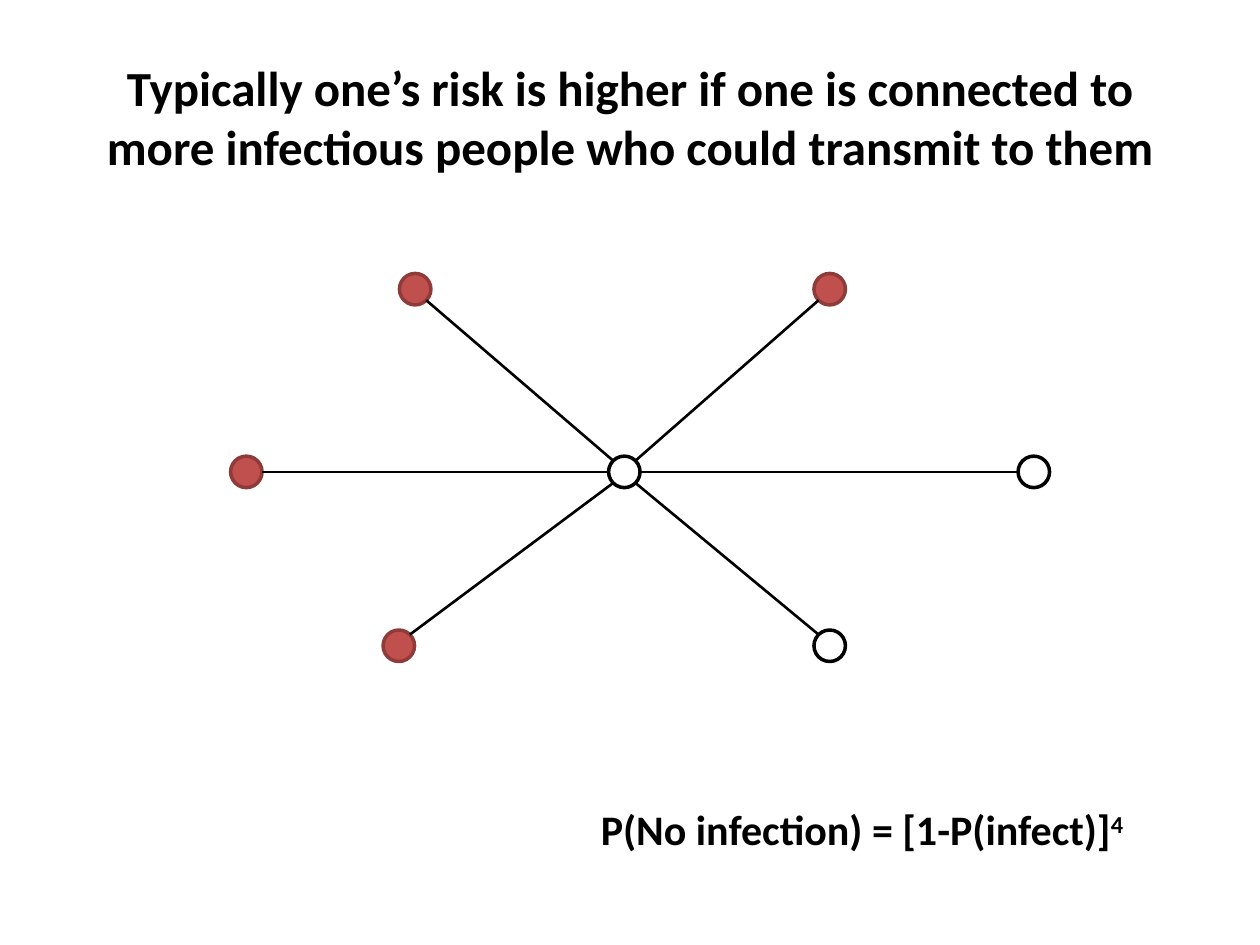
import math

from pptx import Presentation
from pptx.dml.color import RGBColor
from pptx.enum import shapes, text
from pptx.oxml import xmlchemy
from pptx.util import Inches, Pt
from lxml import etree

BLACK = RGBColor(0x00, 0x00, 0x00)
WHITE = RGBColor(0xFF, 0xFF, 0xFF)
RED = RGBColor(0xC0, 0x50, 0x4D)
DARK_RED = RGBColor(0x8E, 0x3B, 0x39)
DRAWING_NS = "http://schemas.openxmlformats.org/drawingml/2006/main"

TITLE = ("Typically one’s risk is higher if one is connected to "
         "more infectious people who could transmit to them")
FORMULA, EXPONENT = "P(No infection) = [1-P(infect)]", "4"

# Status of a person: fill and outline
STATUS = {"infectious": (RED, DARK_RED), "susceptible": (WHITE, BLACK)}

# Left and top of each person's circle, in inches
DIAMETER = 0.25
EGO = (4.83, 3.62)
CONTACTS = [
    (3.17, 2.17, "infectious"),
    (6.46, 2.17, "infectious"),
    (3.04, 5.00, "infectious"),
    (8.08, 3.62, "susceptible"),
    (1.83, 3.62, "infectious"),
    (6.46, 5.00, "susceptible"),
]


def add_person(slide, left, top, status):
    person = slide.shapes.add_shape(
        shapes.MSO_SHAPE.OVAL, *map(Inches, (left, top, DIAMETER, DIAMETER)))
    fill, outline = STATUS[status]
    person.shadow.inherit = False
    person.fill.solid()
    person.fill.fore_color.rgb = fill
    person.line.color.rgb = outline
    person.line.width = Pt(2)


def sign(value):
    return (value > 0) - (value < 0)


def add_tie(slide, left, top):
    """Join the ego's rim to a contact's rim, at the nearest eighth of the circle."""
    ego_x, ego_y, x, y = (v + DIAMETER / 2 for v in (*EGO, left, top))
    toward = sign(x - ego_x), sign(y - ego_y)
    dx, dy = (DIAMETER / 2 * s / math.hypot(*toward) for s in toward)
    ends = (ego_x + dx, ego_y + dy, x - dx, y - dy)
    tie = slide.shapes.add_connector(
        shapes.MSO_CONNECTOR.STRAIGHT, *map(Inches, ends))
    tie.line.color.rgb = BLACK
    tie.line.width = Pt(1.5)
    etree.SubElement(tie._element.spPr, f"{{{DRAWING_NS}}}effectLst")


def add_text(slide, box, words, size, **paragraph_format):
    frame = slide.shapes.add_textbox(*map(Inches, box)).text_frame
    frame.word_wrap = True
    frame.vertical_anchor = text.MSO_ANCHOR.MIDDLE
    paragraph = frame.paragraphs[0]
    for name, value in paragraph_format.items():
        setattr(paragraph, name, value)
    runs = []
    for word in words:
        run = paragraph.add_run()
        run.text = word
        style = {"name": "Calibri", "size": Pt(size), "bold": True}
        for name, value in style.items():
            setattr(run.font, name, value)
        run.font.color.rgb = BLACK
        runs.append(run)
    return runs


def main():
    deck = Presentation()
    deck.slide_width, deck.slide_height = Inches(10), Inches(7.5)
    slide = deck.slides.add_slide(deck.slide_layouts[6])

    for contact in CONTACTS:
        add_person(slide, *contact)
    add_person(slide, *EGO, "susceptible")
    add_text(slide, (0.5, 0.3, 9, 1.25), [TITLE], 28,
             alignment=text.PP_ALIGN.CENTER)
    for left, top, _ in CONTACTS:
        add_tie(slide, left, top)
    _, exponent = add_text(slide, (4.67, 6.33, 4.92, 0.5),
                           [FORMULA, EXPONENT], 24)
    exponent._r.get_or_add_rPr().set("baseline", "30000")

    deck.save("out.pptx")


if __name__ == "__main__":
    main()
